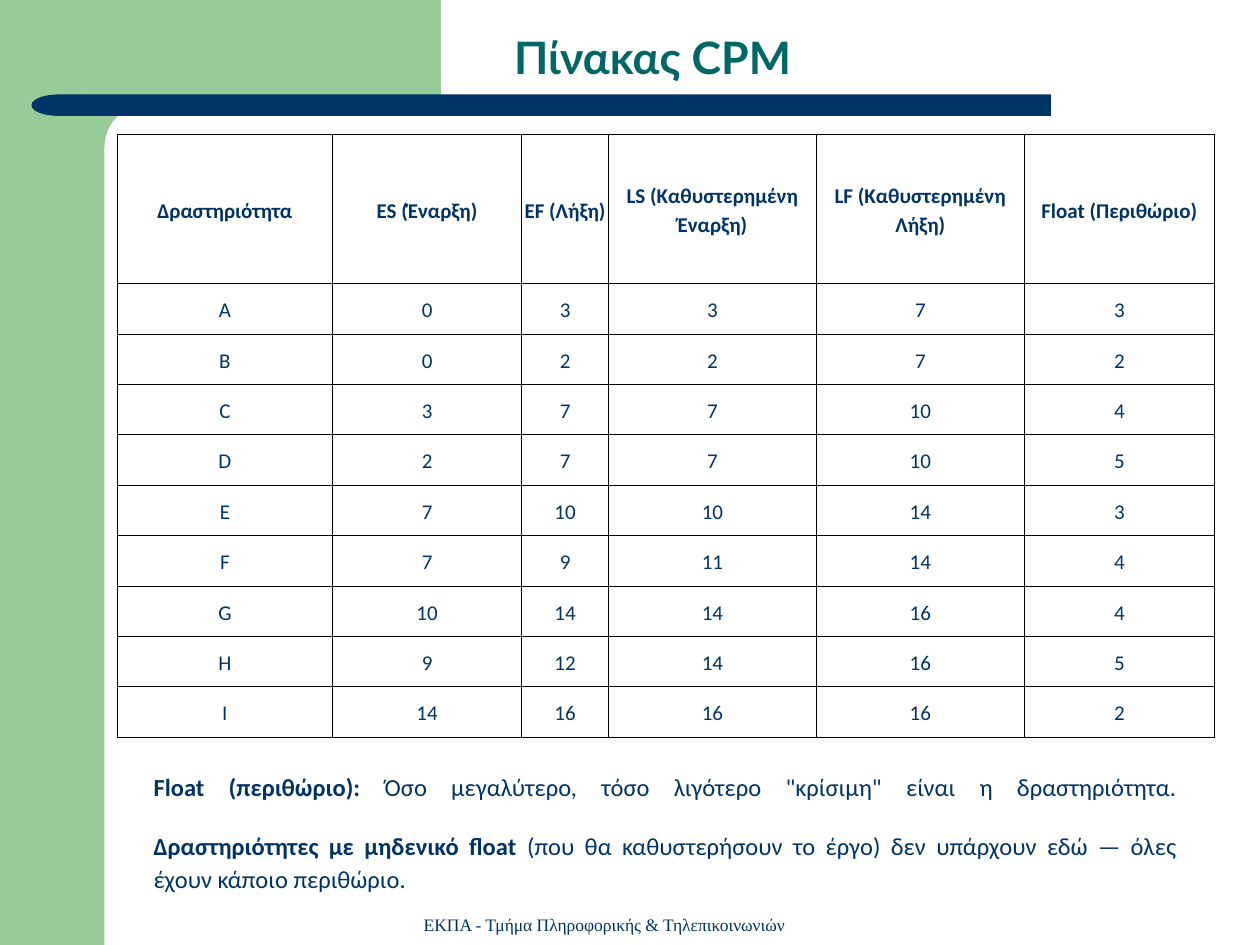
from dataclasses import dataclass

from lxml import etree
from pptx import Presentation
from pptx.dml.color import RGBColor
from pptx.enum.shapes import MSO_SHAPE
from pptx.enum.text import MSO_ANCHOR, MSO_AUTO_SIZE, PP_ALIGN
from pptx.oxml.ns import qn
from pptx.util import Inches, Pt

RECT = MSO_SHAPE.RECTANGLE
ROUND = MSO_SHAPE.ROUNDED_RECTANGLE
DELAY = MSO_SHAPE.FLOWCHART_DELAY
TOP, MIDDLE, BOTTOM = MSO_ANCHOR.TOP, MSO_ANCHOR.MIDDLE, MSO_ANCHOR.BOTTOM
CENTER, JUSTIFY = PP_ALIGN.CENTER, PP_ALIGN.JUSTIFY
GROW, FIXED = MSO_AUTO_SIZE.SHAPE_TO_FIT_TEXT, MSO_AUTO_SIZE.NONE


@dataclass(frozen=True)
class Theme:
    """Colours, fonts and type sizes."""
    green: str = "99CC99"
    navy: str = "003366"
    teal: str = "006666"
    white: str = "FFFFFF"
    grid: str = "000000"
    grid_width: float = 0.45
    title_font: str = "Lato"
    body_font: str = "Calibri"
    footer_font: str = "Times New Roman"
    title_size: float = 25.5
    note_size: float = 14
    cell_size: float = 12
    footer_size: float = 10


def write(p, text, *, font, size, color, bold=False, align=CENTER, spacing=None, after=None):
    """Add a formatted run to a paragraph."""
    p.alignment = align
    p.line_spacing = spacing
    if after is not None:
        p.space_after = Pt(after)
    r = p.add_run()
    r.text = text
    r.font.name = font
    r.font.size = Pt(size)
    r.font.bold = bold
    r.font.color.rgb = RGBColor.from_string(color)


class Deck:
    """Holds the theme and the current slide."""

    def __init__(self, prs, theme):
        """Open a blank slide."""
        self.theme = theme
        self.s = prs.slides.add_slide(prs.slide_layouts[6])

    def shape(self, kind, x, y, w, h, color, radius=None, flip=False):
        """Add a plain filled shape."""
        sp = self.s.shapes.add_shape(kind, Inches(x), Inches(y), Inches(w), Inches(h))
        sp.shadow.inherit = False
        sp.fill.solid()
        sp.fill.fore_color.rgb = RGBColor.from_string(color)
        sp.line.fill.background()
        if radius is not None:
            sp.adjustments[0] = radius
        if flip:
            sp._element.spPr.find(qn("a:xfrm")).set("flipH", "1")

    def text_box(self, x, y, w, h, anchor, fit):
        """Add a wrapping text box and return its text frame."""
        tf = self.s.shapes.add_textbox(Inches(x), Inches(y), Inches(w), Inches(h)).text_frame
        tf.word_wrap = True
        tf.auto_size = fit
        tf.vertical_anchor = anchor
        return tf

    def border(self, cell):
        """Draw a thin line on each side of a cell."""
        tc_pr = cell._tc.get_or_add_tcPr()
        for i, side in enumerate(("lnL", "lnR", "lnT", "lnB")):
            ln = etree.Element(qn(f"a:{side}"), w=str(Pt(self.theme.grid_width)))
            fill = etree.SubElement(ln, qn("a:solidFill"))
            etree.SubElement(fill, qn("a:srgbClr"), val=self.theme.grid)
            tc_pr.insert(i, ln)

    def table(self, x, y, widths, heights, rows):
        """Add a ruled table with a bold first row."""
        t = self.theme
        frame = self.s.shapes.add_table(len(rows), len(widths), Inches(x), Inches(y),
                                        Inches(sum(widths)), Inches(sum(heights)))
        table = frame.table
        table.first_row = table.horz_banding = False
        for col, width in zip(table.columns, widths):
            col.width = Inches(width)
        for i, (row, height, values) in enumerate(zip(table.rows, heights, rows)):
            row.height = Inches(height)
            for cell, value in zip(row.cells, values):
                cell.margin_left = cell.margin_right = Inches(0.01)
                cell.vertical_anchor = MIDDLE
                cell.fill.background()
                self.border(cell)
                write(cell.text_frame.paragraphs[0], str(value), font=t.body_font, size=t.cell_size,
                      color=t.navy, bold=i == 0, spacing=1.15, after=8)

    def notes(self, x, y, w, h, items):
        """Add justified paragraphs that open with a bold lead."""
        t = self.theme
        tf = self.text_box(x, y, w, h, TOP, GROW)
        for i, (lead, rest, stretch) in enumerate(items):
            p = tf.add_paragraph() if i else tf.paragraphs[0]
            for text, bold in ((lead, True), (rest, False)):
                write(p, text, font=t.body_font, size=t.note_size, color=t.navy, bold=bold,
                      align=JUSTIFY, spacing=1.15)
            if stretch:
                p.add_line_break()
                etree.SubElement(p._p, qn("a:endParaRPr"), sz=str(int(t.cell_size * 100)))


ROWS = [
    ("Δραστηριότητα", "ES (Έναρξη)", "EF (Λήξη)", "LS (Καθυστερημένη Έναρξη)",
     "LF (Καθυστερημένη Λήξη)", "Float (Περιθώριο)"),
    ("A", 0, 3, 3, 7, 3),
    ("B", 0, 2, 2, 7, 2),
    ("C", 3, 7, 7, 10, 4),
    ("D", 2, 7, 7, 10, 5),
    ("E", 7, 10, 10, 14, 3),
    ("F", 7, 9, 11, 14, 4),
    ("G", 10, 14, 14, 16, 4),
    ("H", 9, 12, 14, 16, 5),
    ("I", 14, 16, 16, 16, 2),
]
NOTES = [
    ("Float (περιθώριο):", " Όσο μεγαλύτερο, τόσο λιγότερο \"κρίσιμη\" είναι η δραστηριότητα.", True),
    ("Δραστηριότητες με μηδενικό float",
     " (που θα καθυστερήσουν το έργο) δεν υπάρχουν εδώ — όλες έχουν κάποιο περιθώριο.", False),
]


def main():
    """Build the CPM table slide."""
    prs = Presentation()
    prs.slide_width, prs.slide_height = Inches(10), Inches(7.5)
    t = Theme()
    deck = Deck(prs, t)

    deck.shape(RECT, 0, 0, 0.83, 7.5, t.green)
    deck.shape(RECT, 0.75, 0, 2.75, 1.17, t.green)
    deck.shape(ROUND, 0.83, 0.83, 5.58, 0.67, t.white, radius=0.5)
    deck.shape(RECT, 0.67, 0.75, 7.67, 0.17, t.navy)
    deck.shape(DELAY, 0.25, 0.75, 0.43, 0.17, t.navy, flip=True)

    footer = deck.text_box(3.21, 7.2, 3.17, 0.27, BOTTOM, GROW)
    write(footer.paragraphs[0], "ΕΚΠΑ - Τμήμα Πληροφορικής & Τηλεπικοινωνιών",
          font=t.footer_font, size=t.footer_size, color=t.navy)
    title = deck.text_box(0.93, 0.21, 8.5, 0.54, MIDDLE, FIXED)
    write(title.paragraphs[0], "Πίνακας CPM", font=t.title_font, size=t.title_size,
          color=t.teal, bold=True, spacing=0.9)

    deck.table(0.93, 1.07, [1.71, 1.5, 0.69, 1.65, 1.65, 1.51], [1.18] + [0.4] * 9, ROWS)
    deck.notes(1.12, 6.04, 8.32, 1.14, NOTES)
    prs.save("out.pptx")


if __name__ == "__main__":
    main()
